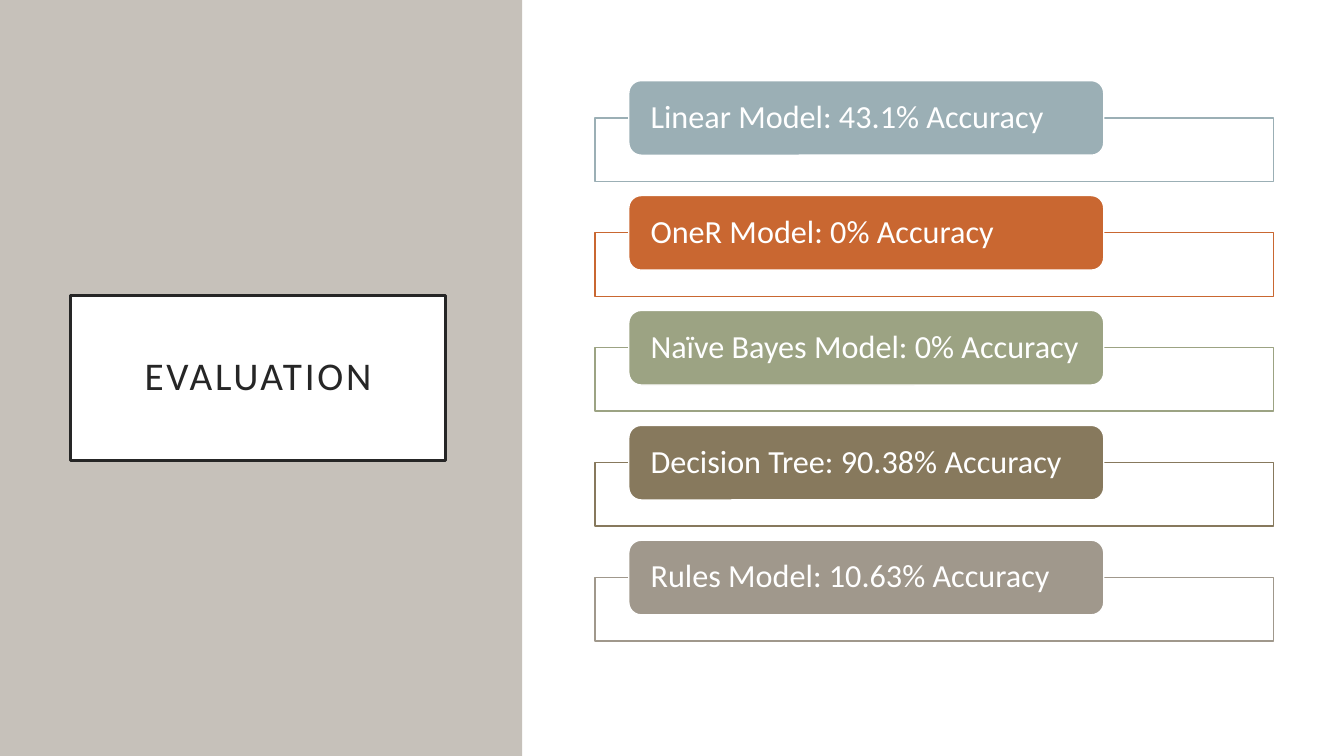
from dataclasses import dataclass

from pptx import Presentation
from pptx.dml.color import RGBColor
from pptx.enum.shapes import MSO_SHAPE
from pptx.enum.text import MSO_ANCHOR, PP_ALIGN
from pptx.util import Inches, Pt


@dataclass(frozen=True)
class Theme:
    font: str = "Calibri"
    white: str = "FFFFFF"
    ink: str = "262626"
    panel: str = "C6C1BA"
    title_size: float = 28
    label_size: float = 23
    title_border: float = 2.5
    thin_border: float = 1


THEME = Theme()

# Label and accent colour of each model
MODELS = [
    ("Linear Model: 43.1% Accuracy", "9BAFB5"),
    ("OneR Model: 0% Accuracy", "C96731"),
    ("Naïve Bayes Model: 0% Accuracy", "9CA383"),
    ("Decision Tree: 90.38% Accuracy", "87795D"),
    ("Rules Model: 10.63% Accuracy", "A0988C"),
]


def add_block(slide, box, fill, border=None, border_width=THEME.thin_border,
              preset=MSO_SHAPE.RECTANGLE):
    """Add a flat filled shape; without a border colour it has no line."""
    block = slide.shapes.add_shape(preset, *(Inches(length) for length in box))
    block.shadow.inherit = False
    block.fill.solid()
    block.fill.fore_color.rgb = RGBColor.from_string(fill)
    if border:
        block.line.color.rgb = RGBColor.from_string(border)
        block.line.width = Pt(border_width)
    else:
        block.line.fill.background()
    return block


def write_text(block, text, size, color, align, inset_x, inset_y):
    """Put one vertically centred paragraph into a block."""
    frame = block.text_frame
    frame_format = {
        "word_wrap": True,
        "vertical_anchor": MSO_ANCHOR.MIDDLE,
        "margin_left": Inches(inset_x),
        "margin_right": Inches(inset_x),
        "margin_top": Inches(inset_y),
        "margin_bottom": Inches(inset_y),
    }
    for name, value in frame_format.items():
        setattr(frame, name, value)

    paragraph = frame.paragraphs[0]
    paragraph.alignment = align
    paragraph.line_spacing = 0.9
    run = paragraph.add_run()
    run.text = text
    for name, value in {"name": THEME.font, "size": Pt(size)}.items():
        setattr(run.font, name, value)
    run.font.color.rgb = RGBColor.from_string(color)
    return run


def add_title_panel(slide, box):
    """Coloured side panel with the framed slide title."""
    left, top, _, _ = box
    add_block(slide, box, THEME.panel)
    title = add_block(slide, (left + 0.7, top + 2.93, 3.72, 1.64),
                      THEME.white, THEME.ink, THEME.title_border)
    run = write_text(title, "EVALUATION", THEME.title_size, THEME.ink,
                     PP_ALIGN.CENTER, 0.2, 0.2)
    run.font._element.set("spc", "200")  # letter spacing of 2 pt


def add_model_row(slide, box, label, accent):
    """Outlined bar with a rounded label over its top edge."""
    left, top, width, height = box
    label_height = 0.74
    bar_top = top + label_height / 2
    add_block(slide, (left, bar_top, width, height - label_height / 2),
              THEME.white, accent)
    tab = add_block(slide, (left + width * 0.05, top, width * 0.7, label_height),
                    accent, THEME.white, preset=MSO_SHAPE.ROUNDED_RECTANGLE)
    write_text(tab, label, THEME.label_size, THEME.white,
               PP_ALIGN.LEFT, 0.18, 0)


def add_model_list(slide, box):
    """Model rows at an equal pitch down the box."""
    left, top, width, height = box
    row_height = 1.0
    pitch = (height - row_height) / (len(MODELS) - 1)
    for index, (label, accent) in enumerate(MODELS):
        row = (left, top + index * pitch, width, row_height)
        add_model_row(slide, row, label, accent)


def main():
    deck = Presentation()
    deck.slide_width = Inches(13.33)
    deck.slide_height = Inches(7.5)
    slide = deck.slides.add_slide(deck.slide_layouts[6])
    slide.background.fill.solid()
    slide.background.fill.fore_color.rgb = RGBColor.from_string(THEME.white)

    add_title_panel(slide, (0, 0, 5.18, 7.5))
    add_model_list(slide, (5.9, 0.8, 6.73, 5.56))
    deck.save("out.pptx")


if __name__ == "__main__":
    main()
